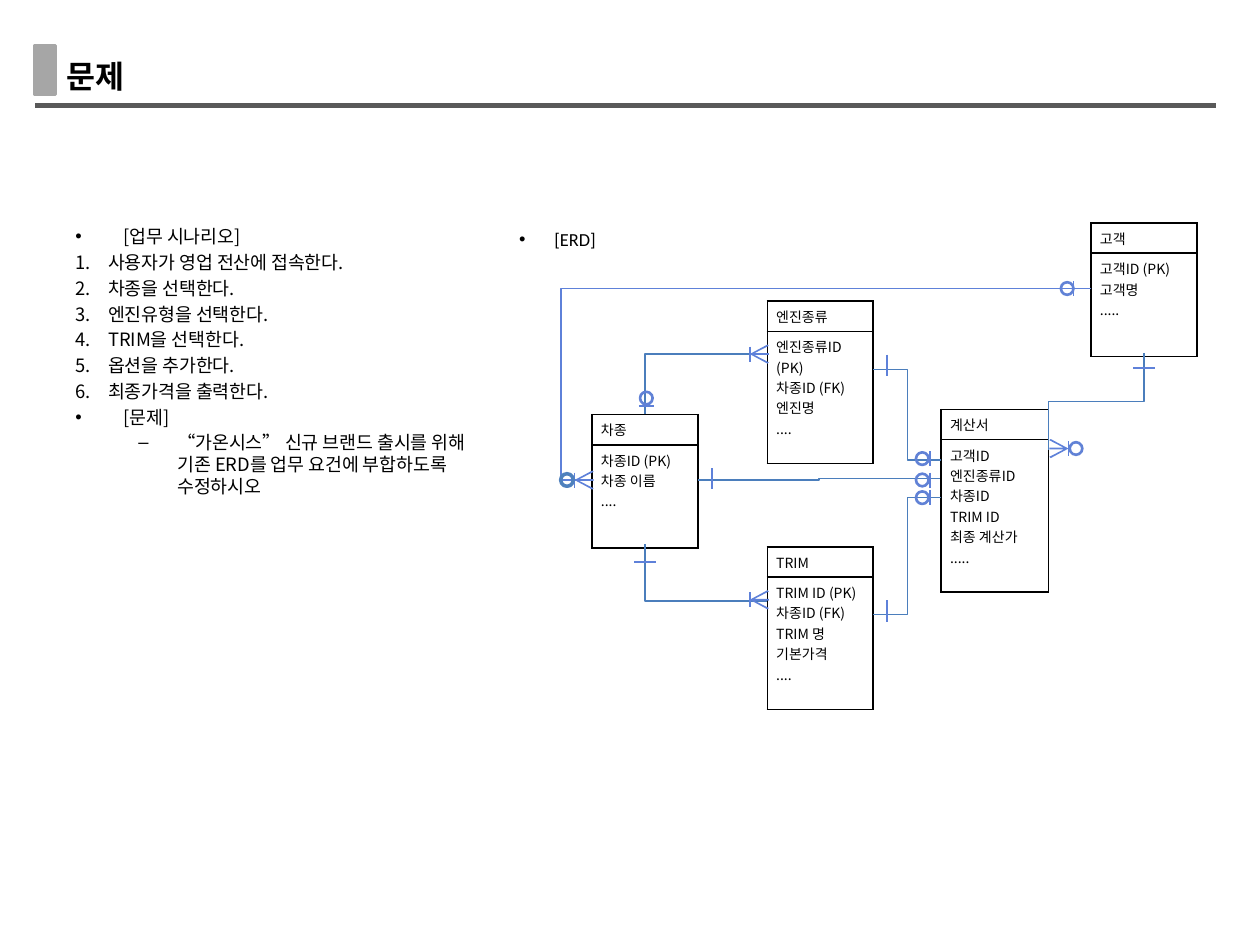
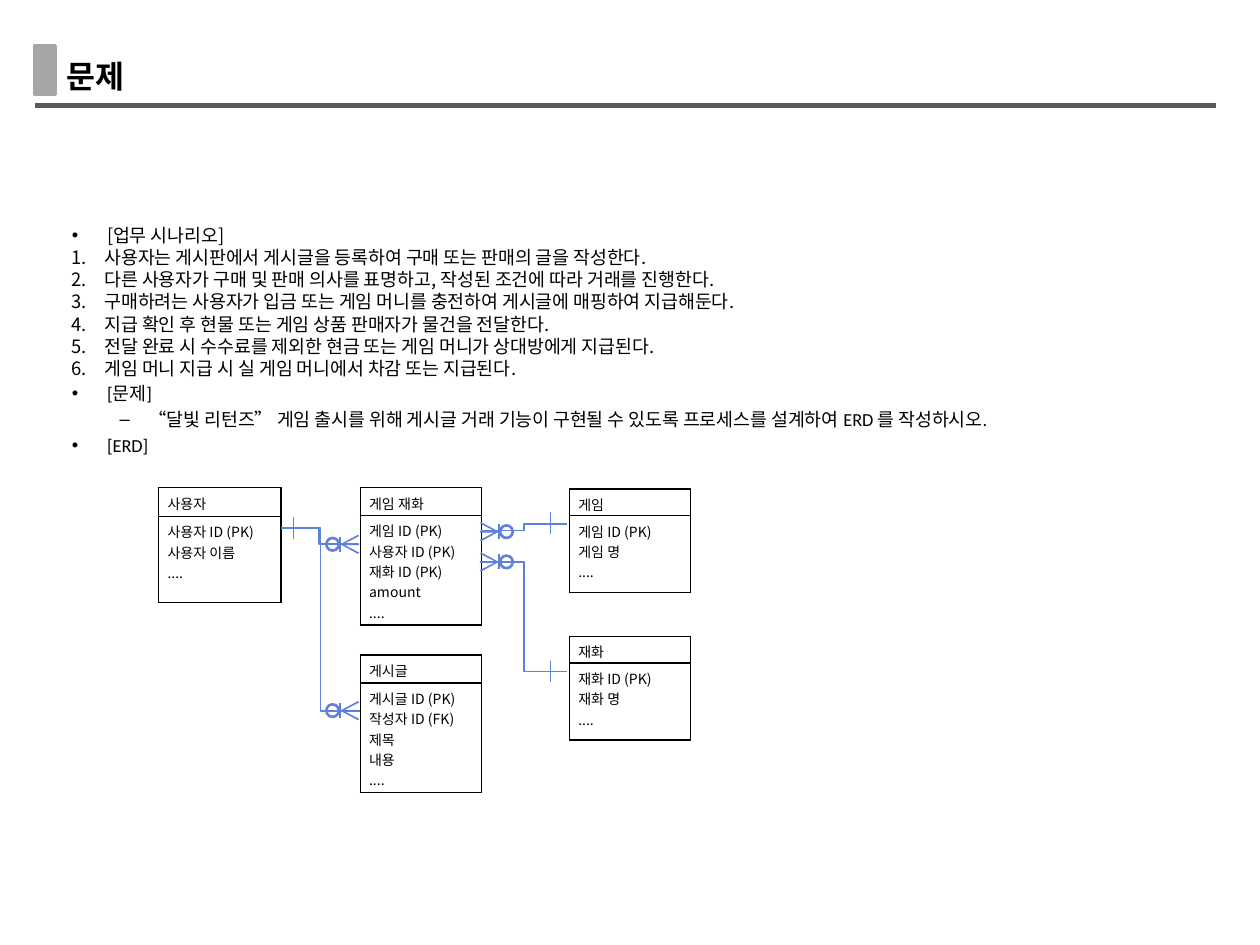
from math import cos, sin, radians
from pptx import Presentation as Deck
from pptx.dml.color import RGBColor as Rgb
from pptx.enum.shapes import MSO_CONNECTOR as Link, MSO_SHAPE as Form
from pptx.enum.text import MSO_AUTO_SIZE as Fit
from pptx.oxml import parse_xml
from pptx.oxml.ns import qn, nsdecls
from pptx.util import Inches, Pt
from lxml.etree import SubElement as Sub

HUES = {"ink": "000000", "rule": "595959", "band": "A6A6A6", "steel": "4B7EBC",
        "blue": "5E81D9", "ring": "6182D6", "sky": "4F81BD"}
NOTO, CALI = "Noto Sans CJK KR", "Calibri"
INSET = {"margin_left": Inches(0.07), "margin_right": Inches(0.07),
         "margin_top": Inches(0.04), "margin_bottom": Inches(0.04)}
STEP = 0.14   # length of a crow's foot


def apply(item, form):
    for key, val in form.items():
        setattr(item, key, val)


def hue(name):
    return Rgb.from_string(HUES[name])


def style(run, size, face=NOTO, bold=False):
    apply(run.font, {"size": Pt(size), "name": face, "bold": bold})
    run.font.color.rgb = hue("ink")
    Sub(run._r.get_or_add_rPr(), qn("a:ea")).set("typeface", NOTO)


# Lines and marks
def paint(line, tint, width):
    line.color.rgb = hue(tint)
    line.width = Pt(width)


def wire(slide, a, b, tint="blue", width=1, kind=Link.STRAIGHT):
    link = slide.shapes.add_connector(kind, *(Inches(v) for v in (*a, *b)))
    paint(link.line, tint, width)
    Sub(link._element.spPr, qn("a:effectLst"))
    return link


def elbow(slide, a, b, tint="blue", width=1, turn=0, bend=None, legs=3):
    """Bent link from a to b; turn rotates its frame about the middle."""
    mid = [(p + q) / 2 for p, q in zip(a, b)]
    dx, dy = a[0] - mid[0], a[1] - mid[1]
    c, s = cos(radians(turn)), sin(radians(turn))
    ux, uy = dx * c + dy * s, dy * c - dx * s
    link = wire(slide, (mid[0] + ux, mid[1] + uy), (mid[0] - ux, mid[1] - uy),
                tint, width, Link.ELBOW)
    props = link._element.spPr
    geom = props.find(qn("a:prstGeom"))
    geom.set("prst", f"bentConnector{legs}")
    if turn:
        props.find(qn("a:xfrm")).set("rot", str(turn * 60000))
    if bend:
        guide = Sub(geom.find(qn("a:avLst")), qn("a:gd"))
        guide.set("name", "adj1")
        guide.set("fmla", f"val {round(bend * 100000)}")


def tick(slide, x, y, half=0.085, flat=False):
    dx, dy = (half, 0) if flat else (0, half)
    wire(slide, (x - dx, y - dy), (x + dx, y + dy))


def ring(slide, x, y, tint="ring", width=1.5):
    dot = slide.shapes.add_shape(Form.OVAL, Inches(x - 0.05), Inches(y - 0.05),
                                 Inches(0.1), Inches(0.1))
    dot.shadow.inherit = False
    dot.fill.background()
    paint(dot.line, tint, width)


def maybe(slide, x, y, dx=-0.06, dy=0, **look):
    """Zero-or-one mark: a short tick with a ring beside it."""
    tick(slide, x, y, 0.06, flat=bool(dy))
    ring(slide, x + dx, y + dy, **look)


def crow(slide, x, y, way, zero=True, **look):
    """Many mark: a foot that opens on the table edge at x."""
    tip = x + way * STEP
    if zero:
        maybe(slide, tip, y, way * 0.06, **look)
    else:
        tick(slide, tip, y, 0.06)
    foot = wire(slide, (x, y), (tip, y))
    tail = Sub(foot.line._get_or_add_ln(), qn("a:tailEnd"))
    for key, val in {"type": "arrow", "w": "lg", "len": "lg"}.items():
        tail.set(key, val)


# Entity tables
def edge(cell):
    props = cell._tc.get_or_add_tcPr()
    for spot, side in enumerate(("lnL", "lnR", "lnT", "lnB")):
        props.insert(spot, parse_xml(
            f'<a:{side} {nsdecls("a")} w="12700"><a:solidFill>'
            f'<a:srgbClr val="{HUES["ink"]}"/></a:solidFill></a:{side}>'))


def entity(slide, x, y, wide, rows, name, *fields):
    frame = slide.shapes.add_table(2, 1, Inches(x), Inches(y),
                                   Inches(wide), Inches(sum(rows)))
    grid = frame.table
    apply(grid, {"first_row": False, "horz_banding": False})
    for at, lines in enumerate(([name], fields)):
        grid.rows[at].height = Inches(rows[at])
        cell = grid.cell(at, 0)
        apply(cell, INSET)
        cell.fill.background()
        edge(cell)
        cell.text = "\n".join(lines)
        for para in cell.text_frame.paragraphs:
            for run in para.runs:
                style(run, 8)


# Lists
def bullet(para, mark, left, hang):
    props = para._p.get_or_add_pPr()
    props.set("marL", str(Inches(left)))
    props.set("indent", str(-Inches(hang)))
    if mark == "1.":
        Sub(props, qn("a:buAutoNum")).set("type", "arabicPeriod")
    else:
        Sub(props, qn("a:buFont")).set("typeface", "Arial")
        Sub(props, qn("a:buChar")).set("char", mark)


def listing(slide, x, y, wide, items, inset=INSET):
    """Each item is (kind, text, font); a kind is (mark, left, hang, gap)."""
    box = slide.shapes.add_textbox(Inches(x), Inches(y), Inches(wide), Inches(4.69))
    frame = box.text_frame
    apply(frame, {"word_wrap": True, **inset})
    for at, ((mark, left, hang, gap), text, face) in enumerate(items):
        para = frame.paragraphs[0] if at == 0 else frame.add_paragraph()
        para.text = text
        apply(para, {"line_spacing": Pt(12.6), "space_before": Pt(gap)})
        bullet(para, mark, left, hang)
        for run in para.runs:
            style(run, 10.5, face)


# Shared head
def page(deck, title):
    slide = deck.slides.add_slide(deck.slide_layouts[6])
    box = slide.shapes.add_textbox(Inches(0.43), Inches(0.4), Inches(0.71), Inches(0.4))
    apply(box.text_frame, {"word_wrap": False, "auto_size": Fit.SHAPE_TO_FIT_TEXT})
    run = box.text_frame.paragraphs[0].add_run()
    run.text = title
    style(run, 18, bold=True)
    wire(slide, (0.28, 0.84), (9.65, 0.84), "rule", 3)
    band = slide.shapes.add_shape(Form.RECTANGLE, Inches(0.28), Inches(0.36),
                                  Inches(0.16), Inches(0.39))
    band.shadow.inherit = False
    band.fill.solid()
    band.fill.fore_color.rgb = hue("band")
    paint(band.line, "band", 2)
    return slide


def cars(deck):
    slide = page(deck, "문제")
    # Scenario
    head, num = ("•", 0.38, 0.38, 2.1), ("1.", 0.26, 0.26, 2.1)
    steps = ["사용자가 영업 전산에 접속한다.", "차종을 선택한다.", "엔진유형을 선택한다.",
             "TRIM을 선택한다.", "옵션을 추가한다.", "최종가격을 출력한다."]
    listing(slide, 4.05, 1.77, 3.52, [(("•", 0.28, 0.28, 2.1), "[ERD]", CALI)])
    listing(slide, 0.5, 1.74, 3.52, [
        (head, "[업무 시나리오]", NOTO),
        *((num, step, NOTO) for step in steps),
        (head, "[문제]", NOTO),
        (("–", 0.81, 0.31, 2.1),
         "“가온시스” 신규 브랜드 출시를 위해\v기존 ERD를 업무 요건에 부합하도록 수정하시오", NOTO)],
        inset={})
    # Entities
    small, tall = (0.24, 0.82), (0.24, 1.05)
    entity(slide, 4.7, 3.29, 0.84, small, "차종", "차종ID (PK)", "차종 이름", "....")
    entity(slide, 8.66, 1.77, 0.84, small, "고객", "고객ID (PK)", "고객명", ".....")
    entity(slide, 7.47, 3.25, 0.85, (0.24, 1.21), "계산서", "고객ID", "엔진종류ID",
           "차종ID", "TRIM ID", "최종 계산가", ".....")
    entity(slide, 6.09, 2.39, 0.84, tall, "엔진종류", "엔진종류ID (PK)",
           "차종ID (FK)", "엔진명", "....")
    entity(slide, 6.09, 4.34, 0.84, tall, "TRIM", "TRIM ID (PK)", "차종ID (FK)",
           "TRIM 명", "기본가격", "....")
    # Relations
    for a, b, more in [
            ((5.12, 3.29), (6.09, 2.81), {"turn": 90, "legs": 2}),
            ((5.12, 4.32), (6.09, 4.77), {"turn": 270, "legs": 2}),
            ((5.54, 3.81), (7.46, 3.8), {}),
            ((6.93, 2.93), (7.47, 3.65), {}),
            ((6.93, 4.88), (7.47, 3.95), {}),
            ((9.08, 2.8), (8.32, 3.57), {"turn": 90})]:
        elbow(slide, a, b, "steel", 0.75, **more)
    elbow(slide, (8.66, 2.29), (4.7, 3.81), turn=180, bend=1.063)
    # Marks
    for x, y, flat in [(5.65, 3.8, False), (7.04, 2.9, False), (7.04, 4.85, False),
                       (9.08, 2.92, True), (5.12, 4.46, True)]:
        tick(slide, x, y, flat=flat)
    for y in (3.64, 3.81, 3.95):
        maybe(slide, 7.38, y)
    maybe(slide, 8.52, 2.29, -0.05)
    maybe(slide, 5.13, 3.22, 0, -0.06)
    crow(slide, 4.7, 3.81, -1, tint="sky", width=2)
    crow(slide, 8.34, 3.56, 1)
    for y in (2.81, 4.76):
        crow(slide, 6.09, y, -1, zero=False)


def games(deck):
    slide = page(deck, "문제")
    # Scenario
    head, num = ("•", 0.28, 0.28, 2.1), ("1.", 0.26, 0.26, 0)
    steps = ["사용자는 게시판에서 게시글을 등록하여 구매 또는 판매의 글을 작성한다.",
             "다른 사용자가 구매 및 판매 의사를 표명하고, 작성된 조건에 따라 거래를 진행한다.",
             "구매하려는 사용자가 입금 또는 게임 머니를 충전하여 게시글에 매핑하여 지급해둔다.",
             "지급 확인 후 현물 또는 게임 상품 판매자가 물건을 전달한다.",
             "전달 완료 시 수수료를 제외한 현금 또는 게임 머니가 상대방에게 지급된다.",
             "게임 머니 지급 시 실 게임 머니에서 차감 또는 지급된다."]
    listing(slide, 0.5, 1.74, 9, [
        (head, "[업무 시나리오]", NOTO),
        *((num, step, NOTO) for step in steps),
        (head, "[문제]", CALI),
        (("–", 0.61, 0.23, 2.1), "“달빛 리턴즈” 게임 출시를 위해 게시글 거래 기능이 구현될 수 있도록 "
         "프로세스를 설계하여 ERD 를 작성하시오.", CALI),
        (head, "[ERD]", CALI)])
    # Entities
    tall, small = (0.22, 0.87), (0.2, 0.61)
    entity(slide, 2.86, 5.2, 0.96, tall, "게시글", "게시글 ID (PK)", "작성자 ID (FK)",
           "제목", "내용", "....")
    entity(slide, 2.86, 3.87, 0.96, tall, "게임 재화", "게임 ID (PK)", "사용자 ID (PK)",
           "재화 ID (PK)", "amount", "....")
    entity(slide, 1.26, 3.87, 0.97, (0.23, 0.68), "사용자", "사용자 ID (PK)",
           "사용자 이름", "....")
    for y, name in [(3.88, "게임"), (5.05, "재화")]:
        entity(slide, 4.52, y, 0.96, small, name, f"{name} ID (PK)", f"{name} 명", "....")
    # Relations
    for a, b in [((2.23, 4.19), (2.86, 5.64)), ((2.23, 4.19), (2.84, 4.32)),
                 ((3.82, 4.21), (4.5, 4.16)), ((3.82, 4.46), (4.5, 5.33))]:
        elbow(slide, a, b)
    # Marks
    for x, y in [(2.33, 4.19), (4.37, 4.15), (4.37, 5.33)]:
        tick(slide, x, y)
    for x, y, way in [(2.84, 4.32, -1), (2.84, 5.64, -1), (3.82, 4.22, 1), (3.82, 4.46, 1)]:
        crow(slide, x, y, way)


def main():
    deck = Deck()
    apply(deck, {"slide_width": Inches(10), "slide_height": Inches(7.5)})
    cars(deck)
    games(deck)
    deck.save("out.pptx")


if __name__ == "__main__":
    main()
